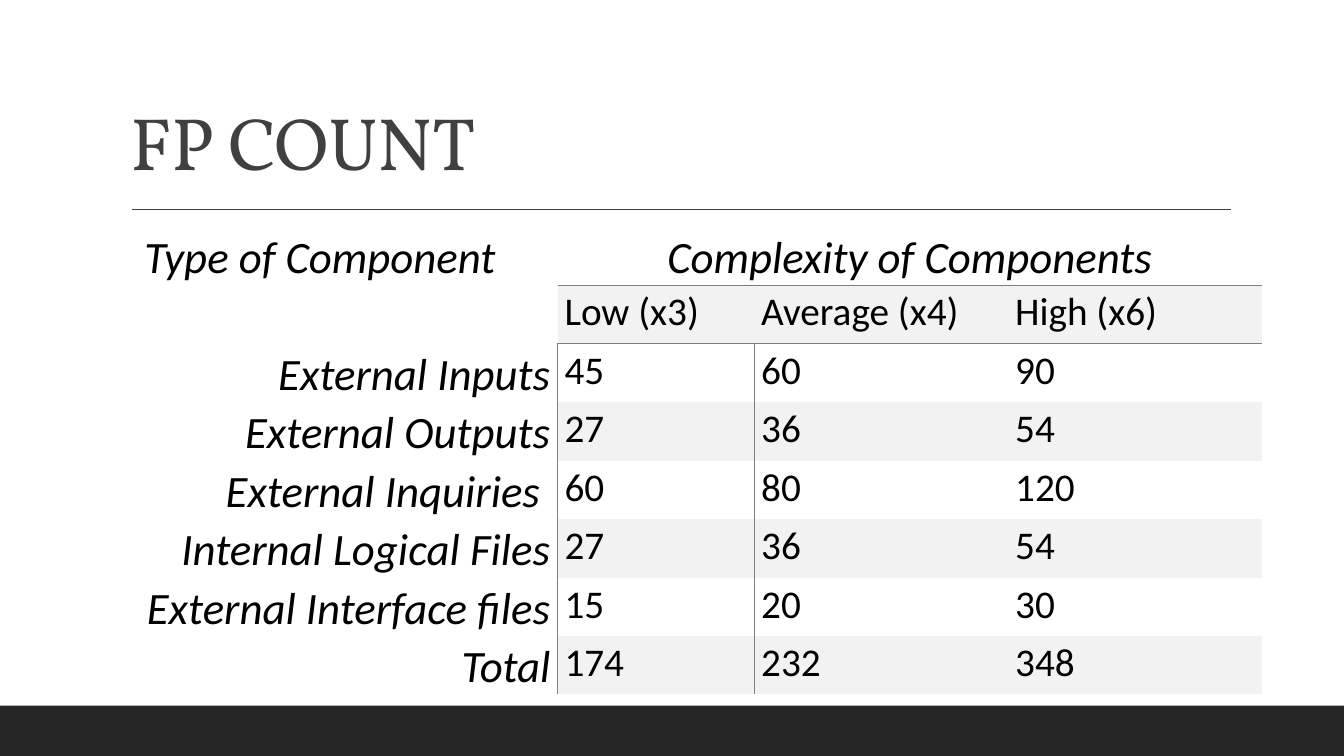
from dataclasses import dataclass

from lxml.etree import SubElement
from pptx import Presentation
from pptx.dml.color import RGBColor
from pptx.enum.shapes import MSO_CONNECTOR, MSO_SHAPE
from pptx.enum.text import MSO_ANCHOR, PP_ALIGN
from pptx.oxml import parse_xml
from pptx.oxml.ns import nsdecls, qn
from pptx.slide import Slide
from pptx.table import Table, _Cell
from pptx.util import Inches, Pt

COLORS = {"ink": "000000", "title": "404040", "bar": "262626",
          "rule": "7F7F7F", "band": "F2F2F2", "paper": "FFFFFF"}
WIDTHS = (4.71, 1.95, 2.52, 2.52)
ROW = 0.58
NO_STYLE = "{2D5ABB26-0587-4C30-8999-92F81FD0307C}"


@dataclass(frozen=True)
class Level:
    """A complexity level and its weight."""
    name: str
    weight: int


@dataclass(frozen=True)
class Kind:
    """A component type and its number of items."""
    name: str
    count: int


@dataclass(frozen=True)
class Style:
    """The look of the text in a cell."""
    size: int
    italic: bool
    align: PP_ALIGN


HEAD = Style(32, True, PP_ALIGN.CENTER)
LABEL = Style(32, True, PP_ALIGN.RIGHT)
VALUE = Style(28, False, PP_ALIGN.LEFT)

LEVELS = (Level("Low", 3), Level("Average", 4), Level("High", 6))
KINDS = (Kind("External Inputs", 15), Kind("External Outputs", 9),
         Kind("External Inquiries ", 20), Kind("Internal Logical Files", 9),
         Kind("External Interface files", 5))
TOTAL = Kind("Total", sum(kind.count for kind in KINDS))


def color(name: str) -> RGBColor:
    """Look up a colour by name."""
    return RGBColor.from_string(COLORS[name])


def add_frame(slide: Slide) -> None:
    """Draw the bottom bar and the line below the title."""
    bar = slide.shapes.add_shape(MSO_SHAPE.RECTANGLE, Inches(0), Inches(7),
                                 Inches(13.33), Inches(0.5))
    bar.shadow.inherit = False
    bar.fill.solid()
    bar.fill.fore_color.rgb = color("bar")
    bar.line.fill.background()
    line = slide.shapes.add_connector(MSO_CONNECTOR.STRAIGHT, Inches(1.31), Inches(2.08),
                                      Inches(12.21), Inches(2.08))
    line.line.color.rgb = color("title")
    line.line.width = Pt(1)
    SubElement(line._element.spPr, qn("a:effectLst"))


def add_title(slide: Slide, text: str) -> None:
    """Write the slide title."""
    box = slide.shapes.add_textbox(Inches(1.2), Inches(0.31), Inches(11), Inches(1.59))
    frame = box.text_frame
    frame.word_wrap = True
    frame.vertical_anchor = MSO_ANCHOR.BOTTOM
    para = frame.paragraphs[0]
    para.line_spacing = 0.9
    run = para.add_run()
    run.text = text
    run.font.name = "Vollkorn"
    run.font.size = Pt(53)
    run.font.color.rgb = color("title")
    run.font._element.set("spc", "-50")


def put(cell: _Cell, text: str, style: Style, fill: str = "paper") -> None:
    """Fill one cell and write its text."""
    cell.margin_left = cell.margin_right = Inches(0.07)
    cell.margin_top = cell.margin_bottom = Inches(0)
    cell.fill.solid()
    cell.fill.fore_color.rgb = color(fill)
    para = cell.text_frame.paragraphs[0]
    para.text = text
    para.alignment = style.align
    para.line_spacing = 1.07
    para.font.name = "Calibri"
    para.font.size = Pt(style.size)
    para.font.italic = style.italic
    para.font.color.rgb = color("ink")


def add_edge(cell: _Cell, side: str) -> None:
    """Rule one side (L, R, T or B) of a cell."""
    edge = parse_xml(f'<a:ln{side} {nsdecls("a")} w="12700"><a:solidFill>'
                     f'<a:srgbClr val="{COLORS["rule"]}"/></a:solidFill></a:ln{side}>')
    cell._tc.get_or_add_tcPr().insert(0, edge)


def add_grid(slide: Slide) -> Table:
    """Add the empty, unstyled table with its merged headings."""
    rows = len(KINDS) + 3
    shape = slide.shapes.add_table(rows, len(WIDTHS), Inches(0.82), Inches(2.25),
                                   Inches(sum(WIDTHS)), Inches(rows * ROW))
    table = shape.table
    table.first_row = table.horz_banding = False
    table._tbl.tblPr.find(qn("a:tableStyleId")).text = NO_STYLE
    for column, width in zip(table.columns, WIDTHS):
        column.width = Inches(width)
    for row in table.rows:
        row.height = Inches(ROW)
    table.cell(0, 0).merge(table.cell(1, 0))
    table.cell(0, 1).merge(table.cell(0, 3))
    return table


def fill_grid(table: Table) -> None:
    """Write the headings and the weighted counts."""
    put(table.cell(0, 0), "Type of Component", HEAD)
    put(table.cell(0, 1), "Complexity of Components", HEAD)
    for col, level in enumerate(LEVELS, 1):
        put(table.cell(1, col), f"{level.name} (x{level.weight})", VALUE, "band")
        add_edge(table.cell(0, col), "B")
        add_edge(table.cell(1, col), "T")
    for row, kind in enumerate((*KINDS, TOTAL), 2):
        put(table.cell(row, 0), kind.name, LABEL)
        for col, level in enumerate(LEVELS, 1):
            put(table.cell(row, col), str(kind.count * level.weight), VALUE,
                "band" if row % 2 else "paper")
        add_edge(table.cell(row, 0), "R")
        add_edge(table.cell(row, 1), "L")


def main() -> None:
    """Build and save the slide."""
    deck = Presentation()
    deck.slide_width, deck.slide_height = Inches(13.33), Inches(7.5)
    slide = deck.slides.add_slide(deck.slide_layouts[6])
    add_frame(slide)
    add_title(slide, "FP COUNT")
    fill_grid(add_grid(slide))
    deck.save("out.pptx")


main()
